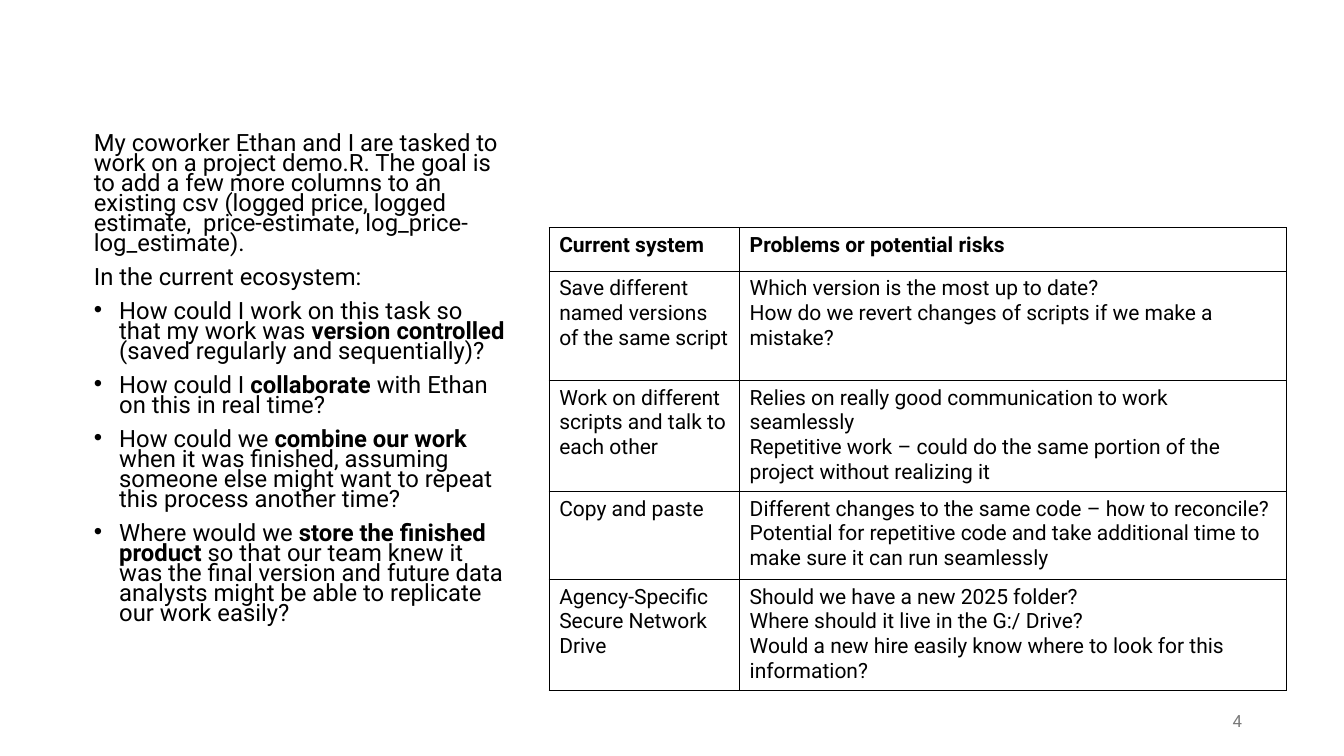
import pptx
import pptx.dml.color
import pptx.enum.text
import pptx.oxml.ns
import pptx.util
from lxml import etree

Cm = pptx.util.Cm
Pt = pptx.util.Pt
BLACK = "000000"
GREY = "797979"

INTRO = [
    "My coworker Ethan and I are tasked to work on a project demo.R. The goal is to add a few more "
    "columns to an existing csv (logged price, logged estimate,  price-estimate, log_price-log_estimate).",
    "In the current ecosystem:",
]
# Each question: text before, bold text, text after
QUESTIONS = [
    ("How could I work on this task so that my work was ", "version controlled",
     " (saved regularly and sequentially)?"),
    ("How could I ", "collaborate", " with Ethan on this in real time?"),
    ("How could we ", "combine our work ",
     "when it was finished, assuming someone else might want to repeat this process another time?"),
    ("Where would we ", "store the finished product ",
     "so that our team knew it was the final version and future data analysts might be able to "
     "replicate our work easily?"),
]
# Each row: height in cm, current system, problems
RISKS = [
    (1.1, "Current system", ["Problems or potential risks"]),
    (2.75, "Save different named versions of the same script",
     ["Which version is the most up to date?",
      "How do we revert changes of scripts if we make a mistake?"]),
    (2.75, "Work on different scripts and talk to each other",
     ["Relies on really good communication to work seamlessly",
      "Repetitive work – could do the same portion of the project without realizing it"]),
    (2.22, "Copy and paste",
     ["Different changes to the same code – how to reconcile?",
      "Potential for repetitive code and take additional time to make sure it can run seamlessly"]),
    (2.75, "Agency-Specific Secure Network Drive",
     ["Should we have a new 2025 folder?",
      "Where should it live in the G:/ Drive?",
      "Would a new hire easily know where to look for this information?"]),
]


def color(hex_text):
    return pptx.dml.color.RGBColor.from_string(hex_text)


def add_element(parent, tag, **attributes):
    return etree.SubElement(parent, pptx.oxml.ns.qn(tag), **attributes)


class SlideBuilder:
    font = "Roboto"

    def __init__(self, slide):
        self.slide = slide

    def add_span(self, para, text, size, bold=False, ink=BLACK):
        span = para.add_run()
        span.text = text
        span.font.name = self.font
        span.font.size = Pt(size)
        span.font.bold = bold
        span.font.color.rgb = color(ink)

    def next_para(self, frame, index):
        return frame.add_paragraph() if index else frame.paragraphs[0]

    def set_bullet(self, para, bulleted):
        indent = Cm(0.64) if bulleted else 0
        properties = para._p.get_or_add_pPr()
        properties.set("marL", str(indent))
        properties.set("indent", str(-indent))
        if bulleted:
            add_element(properties, "a:buFont", typeface="Arial")
            add_element(properties, "a:buChar", char="•")
        else:
            add_element(properties, "a:buNone")

    def fill_body(self, left, top, width, height, intro, questions):
        body = self.slide.placeholders[1]
        body.left, body.top, body.width, body.height = left, top, width, height
        frame = body.text_frame
        frame.word_wrap = True
        frame.auto_size = pptx.enum.text.MSO_AUTO_SIZE.NONE
        frame.vertical_anchor = pptx.enum.text.MSO_ANCHOR.TOP
        for index, spans in enumerate([(text,) for text in intro] + questions):
            para = self.next_para(frame, index)
            self.set_bullet(para, len(spans) > 1)
            para.line_spacing = 0.7
            para.space_before = Pt(10 if index else 0)
            para.space_after = Pt(0)
            for position, text in enumerate(spans):
                self.add_span(para, text, 17, bold=position == 1)

    def set_borders(self, cell):
        properties = cell._tc.get_or_add_tcPr()
        for tag in ("a:lnL", "a:lnR", "a:lnT", "a:lnB"):
            line = add_element(properties, tag, w=str(Pt(1)))
            add_element(add_element(line, "a:solidFill"), "a:srgbClr", val=BLACK)

    def add_table(self, left, top, widths, rows):
        height = sum(Cm(row[0]) for row in rows)
        frame = self.slide.shapes.add_table(len(rows), len(widths), left, top, sum(widths), height)
        table = frame.table
        table.horz_banding = False
        for column, width in zip(table.columns, widths):
            column.width = width
        for row_index, (row_height, system, problems) in enumerate(rows):
            table.rows[row_index].height = Cm(row_height)
            for cell, lines in zip(table.rows[row_index].cells, ([system], problems)):
                self.set_borders(cell)
                cell.fill.background()
                for index, text in enumerate(lines):
                    para = self.next_para(cell.text_frame, index)
                    self.add_span(para, text, 15, bold=row_index == 0)

    def add_page_number(self, left, top, width, height, number):
        box = self.slide.shapes.add_textbox(left, top, width, height)
        box.text_frame.word_wrap = True
        box.text_frame.vertical_anchor = pptx.enum.text.MSO_ANCHOR.MIDDLE
        para = box.text_frame.paragraphs[0]
        para.alignment = pptx.enum.text.PP_ALIGN.RIGHT
        self.add_span(para, number, 12, ink=GREY)


def main():
    deck = pptx.Presentation()
    deck.slide_width, deck.slide_height = Cm(33.87), Cm(19.05)
    slide = deck.slides.add_slide(deck.slide_layouts[1])
    title = slide.shapes.title.element
    title.getparent().remove(title)

    builder = SlideBuilder(slide)
    builder.add_page_number(Cm(23.93), Cm(17.65), Cm(7.62), Cm(1.02), "4")
    builder.fill_body(Cm(2.11), Cm(3.28), Cm(10.92), Cm(12.8), INTRO, QUESTIONS)
    builder.add_table(Cm(13.84), Cm(5.74), [Cm(4.8), Cm(13.79)], RISKS)
    deck.save("out.pptx")


if __name__ == "__main__":
    main()
